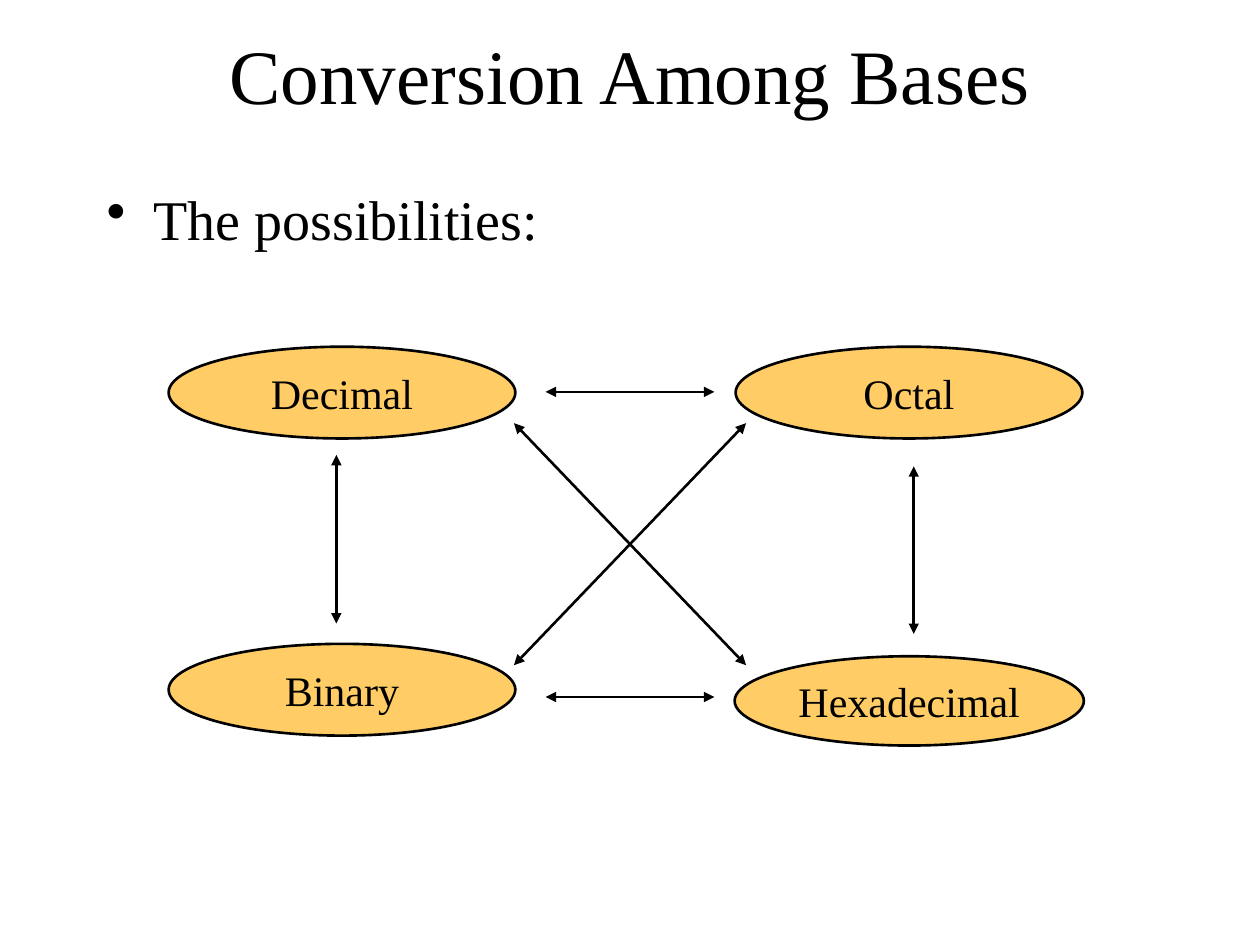
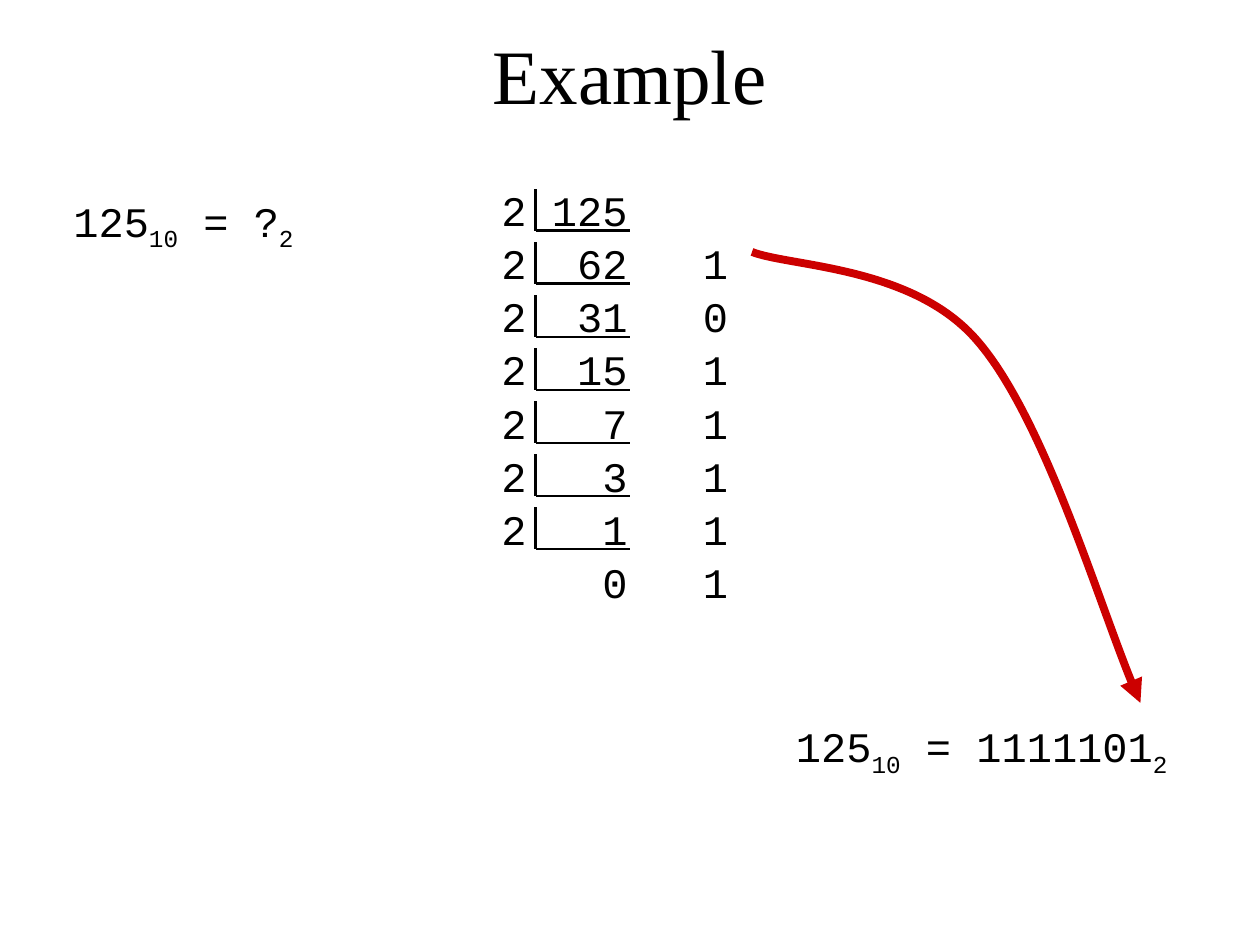
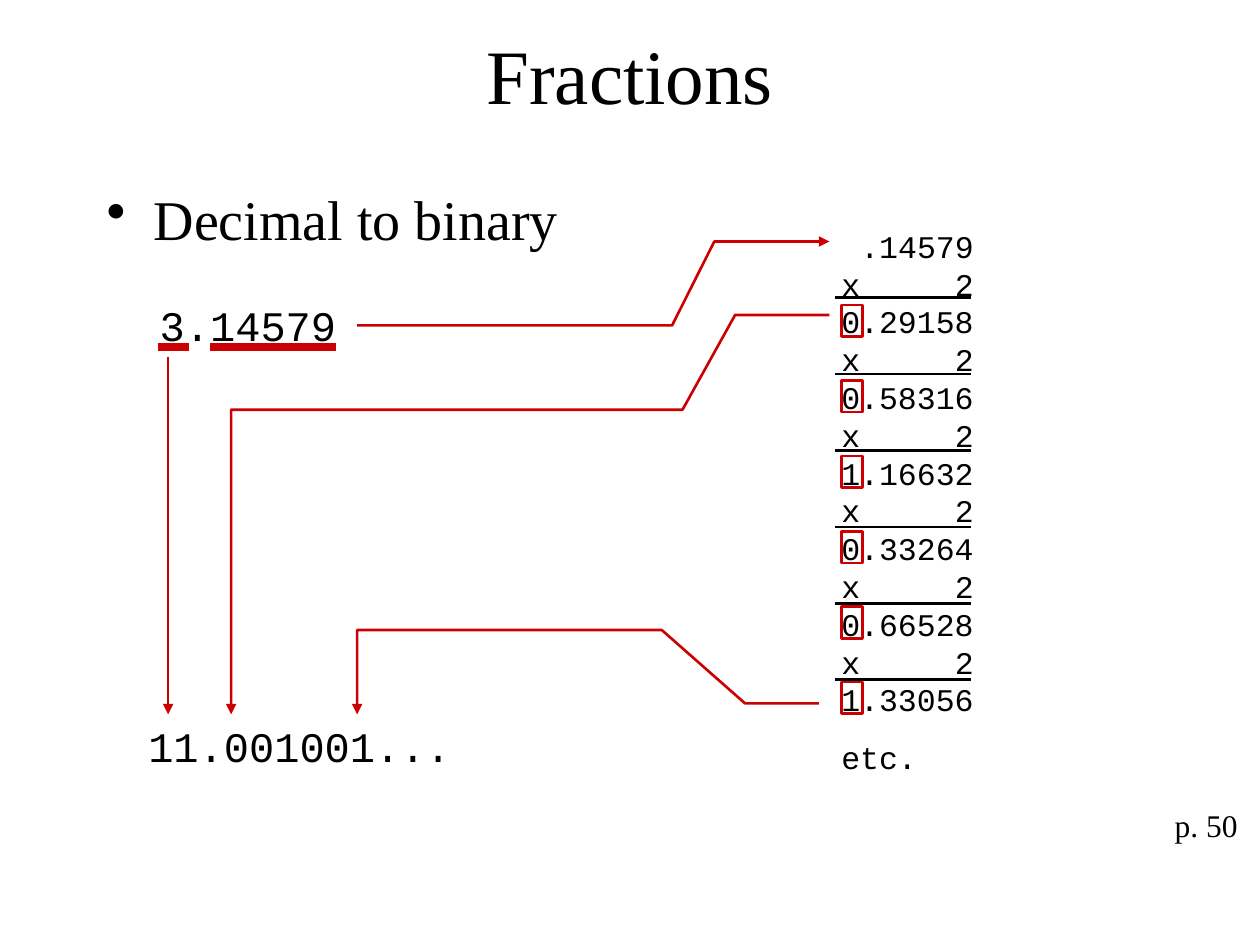
from lxml import etree
from pptx import Presentation
from pptx.dml.color import RGBColor
from pptx.enum.shapes import MSO_CONNECTOR, MSO_SHAPE
from pptx.enum.text import MSO_ANCHOR, PP_ALIGN
from pptx.oxml.ns import qn
from pptx.util import Cm, Pt

LINE = MSO_CONNECTOR.STRAIGHT
OVAL, RECT = MSO_SHAPE.OVAL, MSO_SHAPE.RECTANGLE
LEFT, MID, RIGHT = PP_ALIGN.LEFT, PP_ALIGN.CENTER, PP_ALIGN.RIGHT
CENTER = MSO_ANCHOR.MIDDLE

SERIF, MONO = "Times New Roman", "Courier New"
BLACK, RED, GOLD = "000000", "CC0000", "FFCC66"
hue = RGBColor.from_string


def write(frame, text, size, font, align=LEFT, tabs=()):
    """Fill a frame; parts between underscores are lowered, tabs are (cm, kind)."""
    frame.word_wrap = True
    frame.text = text
    for para in frame.paragraphs:
        para.alignment = align
        if tabs:
            stops = etree.SubElement(para._p.get_or_add_pPr(), qn("a:tabLst"))
            for pos, kind in tabs:
                etree.SubElement(stops, qn("a:tab"), pos=str(Cm(pos)), algn=kind)
        parts = para.text.split("_")
        para.text = parts[0]
        for part in parts[1:]:
            para.add_run().text = part
        for i, run in enumerate(para.runs):
            run.font.size, run.font.name = Pt(size), font
            run.font.color.rgb = hue(BLACK)
            if i % 2:
                run.font._element.set("baseline", "-25000")
    return frame


def stroke(shape, color, width=1.5, ends=()):
    """Set the outline, with arrowheads at the named ends and no shadow."""
    shape.line.width = Pt(width)
    shape.line.color.rgb = hue(color)
    props = shape._element.spPr
    for end in ends:
        etree.SubElement(props.find(qn("a:ln")), qn("a:" + end), type="triangle")
    etree.SubElement(props, qn("a:effectLst"))


deck = Presentation()
deck.slide_width, deck.slide_height = Cm(25.4), Cm(19.05)

# Titles and bullets
pages = []
for title, point in [
    ("Conversion Among Bases", "The possibilities:"),
    ("Example", None),
    ("Fractions", "Decimal to binary"),
]:
    shapes = deck.slides.add_slide(deck.slide_layouts[6]).shapes
    pages.append(shapes)
    box = shapes.add_textbox(Cm(1.9), Cm(0.43), Cm(21.6), Cm(2.1))
    write(box.text_frame, title, 44, SERIF, MID).vertical_anchor = CENTER
    if point:
        box = shapes.add_textbox(Cm(1.9), Cm(3.6), Cm(21.6), Cm(11.43))
        frame = write(box.text_frame, point, 32, SERIF)
        props = frame.paragraphs[0]._p.get_or_add_pPr()
        props.set("marL", str(Cm(0.95)))
        props.set("indent", str(-Cm(0.95)))
        etree.SubElement(props, qn("a:buChar"), char="•")
bases, example, parts = pages

# Conversion among bases
for name, x, y, w, h in [
    ("Hexadecimal", 14.81, 13.23, 7.04, 1.8),
    ("Decimal", 3.4, 6.99, 6.99, 1.85),
    ("Octal", 14.83, 6.99, 6.99, 1.85),
    ("Binary", 3.4, 12.98, 6.99, 1.85),
]:
    base = bases.add_shape(OVAL, Cm(x), Cm(y), Cm(w), Cm(h))
    base.fill.solid()
    base.fill.fore_color.rgb = hue(GOLD)
    stroke(base, BLACK)
    frame = write(base.text_frame, name, 24, SERIF, MID)
    frame.word_wrap = False
    frame.vertical_anchor = CENTER

for ax, ay, bx, by in [
    (10.36, 13.41, 15.04, 8.53),
    (15.04, 13.41, 10.36, 8.53),
    (18.42, 12.78, 18.42, 9.4),
    (6.78, 12.57, 6.78, 9.17),
    (11, 7.9, 14.4, 7.9),
    (11, 14.05, 14.4, 14.05),
]:
    arrow = bases.add_connector(LINE, Cm(ax), Cm(ay), Cm(bx), Cm(by))
    stroke(arrow, BLACK, ends=("headEnd", "tailEnd"))

# Repeated division
for text, x, y, w in [
    ("125_10_ = ?_2", 0.84, 3.81, 5.72),
    ("125_10_ = 1111101_2", 15.24, 14.4, 9.1),
]:
    box = example.add_textbox(Cm(x), Cm(y), Cm(w), Cm(1.42))
    write(box.text_frame, text, 24, MONO, MID)

rows = ["2\t125", "2\t62\t1", "2\t31\t0", "2\t15\t1",
        "2\t7\t1", "2\t3\t1", "2\t1\t1", "\t0\t1"]
for i, row in enumerate(rows):
    drop = 1.07 * i
    box = example.add_textbox(Cm(9.86), Cm(3.6 + drop), Cm(5.72), Cm(1.2))
    write(box.text_frame, row, 24, MONO, tabs=[(2.54, "r"), (4.06, "l")])
    if row.startswith("2"):
        foot = Cm(4.65 + drop)
        for x, y in [(10.8, Cm(3.8 + drop)), (12.7, foot)]:
            edge = example.add_connector(LINE, Cm(10.8), foot, Cm(x), y)
            stroke(edge, BLACK)

# Reading order of the remainders
spots = [(15.93, 5.38), (18.42, 5.36), (19.71, 6.88),
         (21.03, 8.41), (22.3, 12.65), (22.99, 14.17)]
pen = example.build_freeform(Cm(15.16), Cm(5.08))
pen.add_line_segments([(Cm(x), Cm(y)) for x, y in spots], close=False)
curve = pen.convert_to_shape()
curve.fill.background()
stroke(curve, RED, 4.5, ["tailEnd"])
track = next(curve._element.iter(qn("a:path")))
steps = track.findall(qn("a:lnTo"))
for i in range(0, len(steps), 3):
    bend = etree.SubElement(track, qn("a:cubicBezTo"))
    for step in steps[i:i + 3]:
        bend.append(step[0])
        track.remove(step)

# Fractions
for text, x, y, w, size, font, align in [
    ("p. 50", 22.23, 16.13, 2.97, 18, SERIF, RIGHT),
    ("3.14579", 2.97, 5.92, 4.14, 24, MONO, LEFT),
    ("11.001001...", 2.74, 14.4, 7.42, 24, MONO, LEFT),
]:
    box = parts.add_textbox(Cm(x), Cm(y), Cm(w), Cm(1.2))
    write(box.text_frame, text, size, font, align)

values = ["\t.14579", "0.29158", "0.58316", "1.16632",
          "0.33264", "0.66528", "1.33056"]
box = parts.add_textbox(Cm(16.71), Cm(4.45), Cm(4.11), Cm(11.33))
sums = "\nx\t2\n".join(values) + "\netc."
frame = write(box.text_frame, sums, 18, MONO, tabs=[(2.67, "r")])
frame.paragraphs[-1].space_before = Pt(11.2)

for i in range(len(values) - 1):
    y = Cm(6 + 1.54 * i)
    rule = parts.add_connector(LINE, Cm(16.84), y, Cm(19.58), y)
    stroke(rule, BLACK)
    digit = parts.add_shape(RECT, Cm(16.96), Cm(6.15 + 1.52 * i), Cm(0.43), Cm(0.64))
    digit.fill.background()
    stroke(digit, RED)

for ax, ay, bx, by, width, ends in [
    (4.24, 6.99, 6.78, 6.99, 4.5, []),
    (3.18, 6.99, 3.81, 6.99, 4.5, []),
    (3.39, 7.2, 3.39, 14.4, 1.5, ["tailEnd"]),
]:
    mark = parts.add_connector(LINE, Cm(ax), Cm(ay), Cm(bx), Cm(by))
    stroke(mark, RED, width, ends)

for route in [
    [(7.2, 6.56), (13.55, 6.56), (14.4, 4.87), (16.72, 4.87)],
    [(16.72, 6.35), (14.82, 6.35), (13.76, 8.26), (4.66, 8.26), (4.66, 14.4)],
    [(16.51, 14.18), (15.02, 14.18), (13.34, 12.7), (7.2, 12.7), (7.2, 14.4)],
]:
    first, *rest = [(Cm(x), Cm(y)) for x, y in route]
    pen = parts.build_freeform(*first)
    pen.add_line_segments(rest, close=False)
    guide = pen.convert_to_shape()
    guide.fill.background()
    stroke(guide, RED, ends=["tailEnd"])

deck.save("out.pptx")
